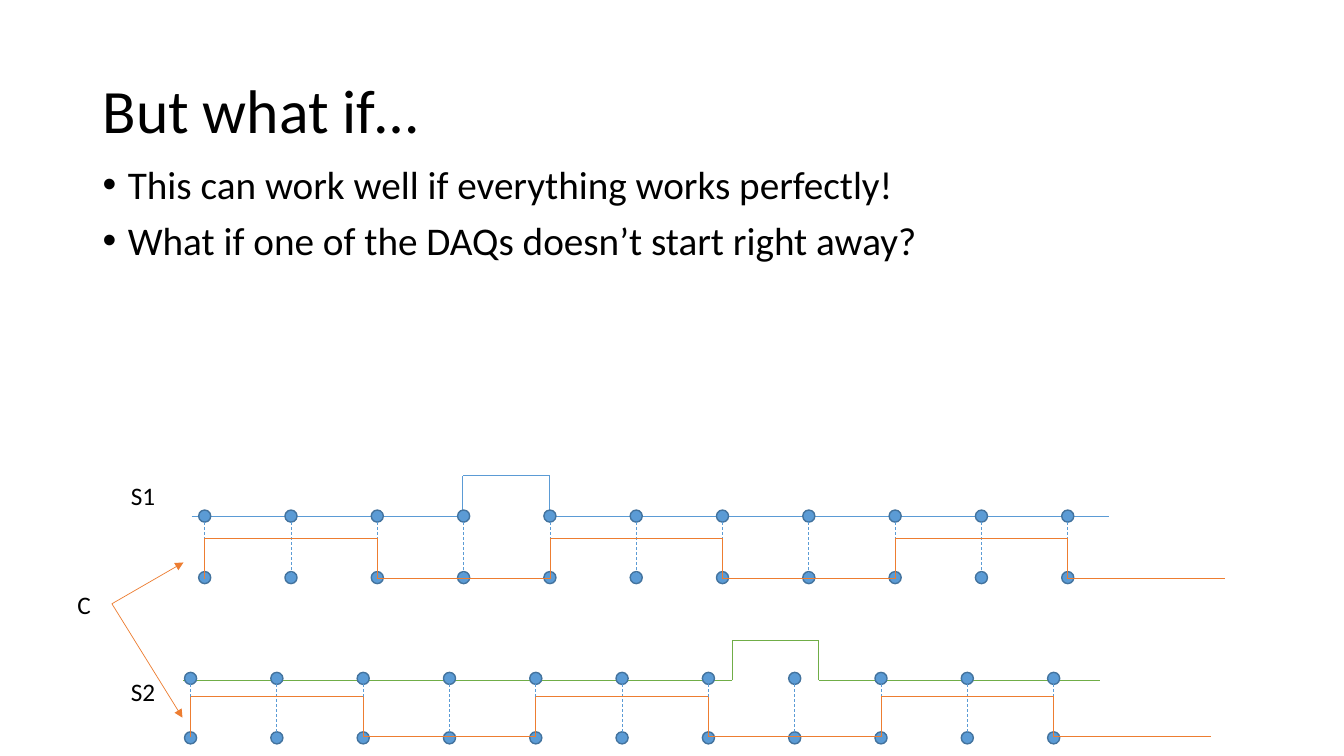
from itertools import pairwise

from lxml.etree import SubElement
from pptx import Presentation
from pptx.dml.color import RGBColor
from pptx.enum.dml import MSO_LINE
from pptx.enum.shapes import MSO_CONNECTOR, MSO_SHAPE
from pptx.enum.text import MSO_ANCHOR
from pptx.oxml.ns import qn
from pptx.util import Inches, Pt

BLACK = RGBColor(0x00, 0x00, 0x00)
BLUE = RGBColor(0x5B, 0x9B, 0xD5)
DARK_BLUE = RGBColor(0x43, 0x73, 0x9E)
GREEN = RGBColor(0x70, 0xAD, 0x47)
ORANGE = RGBColor(0xED, 0x7D, 0x31)

prs = Presentation()
prs.slide_width, prs.slide_height = Inches(13.33), Inches(7.5)
slide = prs.slides.add_slide(prs.slide_layouts[6])


def add_text(left, top, width, height, lines, size):
    box = slide.shapes.add_textbox(Inches(left), Inches(top), Inches(width), Inches(height))
    frame = box.text_frame
    frame.word_wrap = True
    for i, line in enumerate(lines):
        paragraph = frame.paragraphs[0] if i == 0 else frame.add_paragraph()
        run = paragraph.add_run()
        run.text = line
        run.font.name = "Calibri"
        run.font.size = Pt(size)
        run.font.color.rgb = BLACK
    return frame


def add_line(start, end, color):
    line = slide.shapes.add_connector(
        MSO_CONNECTOR.STRAIGHT, *(Inches(value) for value in (*start, *end)))
    line.line.color.rgb = color
    line.line.width = Pt(0.5)
    SubElement(line._element.spPr, qn("a:effectLst"))
    return line


# Title and bullets
title = add_text(0.92, 0.4, 11.5, 1.45, ["But what if…"], 44)
title.vertical_anchor = MSO_ANCHOR.MIDDLE
title.paragraphs[0].line_spacing = 0.9

bullets = add_text(0.92, 1.59, 11.5, 4.76, [
    "This can work well if everything works perfectly!",
    "What if one of the DAQs doesn’t start right away?",
], 28)
for bullet in bullets.paragraphs:
    bullet.line_spacing = 0.9
    bullet.space_before = Pt(10)
    properties = bullet._p.get_or_add_pPr()
    properties.set("marL", str(Inches(0.25)))
    properties.set("indent", str(-Inches(0.25)))
    SubElement(properties, qn("a:buFont"), typeface="Arial")
    SubElement(properties, qn("a:buChar"), char="•")

# Signal and clock labels
for label, left, top in [("S1", 1.2, 4.72), ("S2", 1.2, 6.66), ("C", 0.67, 5.8)]:
    add_text(left, top, 0.62, 0.4, [label], 18)

# Timing diagrams: signal start, pulse start, pulse end, signal end; then
# first sample, signal level, upper dots, lower dots, clock low level
DOT = 0.12
STEP = 8.56 / 10
PULSE = 0.4
diagrams = [
    (BLUE, (1.9, 4.59, 5.45, 11), 2.03, 5.12, 5.12, 5.73, 5.74),
    (GREEN, (1.82, 7.26, 8.12, 10.91), 1.89, 6.75, 6.73, 7.32, 7.31),
]
for color, (begin, rise, fall, end), first, level, upper, lower, clock_low in diagrams:
    samples = [first + STEP * i for i in range(11)]

    # Signal with one pulse
    signal = [(begin, level), (rise, level), (rise, level - PULSE),
              (fall, level - PULSE), (fall, level), (end, level)]
    for start, stop in pairwise(signal):
        add_line(start, stop, color)

    # Sample dots joined by dashed lines
    for x in samples:
        for y in (upper, lower):
            dot = slide.shapes.add_shape(
                MSO_SHAPE.OVAL, Inches(x - DOT / 2), Inches(y - DOT / 2),
                Inches(DOT), Inches(DOT))
            dot.shadow.inherit = False
            dot.fill.solid()
            dot.fill.fore_color.rgb = BLUE
            dot.line.color.rgb = DARK_BLUE
            dot.line.width = Pt(1)
        dash = add_line((x, upper + DOT / 2), (x, lower), BLUE)
        dash.line.dash_style = MSO_LINE.DASH

    # Clock: high for two samples, low for two
    clock_high = clock_low - PULSE
    clock = []
    for i in (0, 4, 8):
        up, down = samples[i], samples[i + 2]
        clock += [(up, clock_low), (up, clock_high), (down, clock_high), (down, clock_low)]
    clock.append((samples[-1] + 1.56, clock_low))
    for start, stop in pairwise(clock):
        add_line(start, stop, ORANGE)

# Arrows from C to both clocks
for target in [(1.82, 5.58), (1.81, 7.12)]:
    arrow = add_line((1.11, 5.99), target, ORANGE)
    SubElement(arrow.line._get_or_add_ln(), qn("a:tailEnd"), type="triangle")

prs.save("out.pptx")
